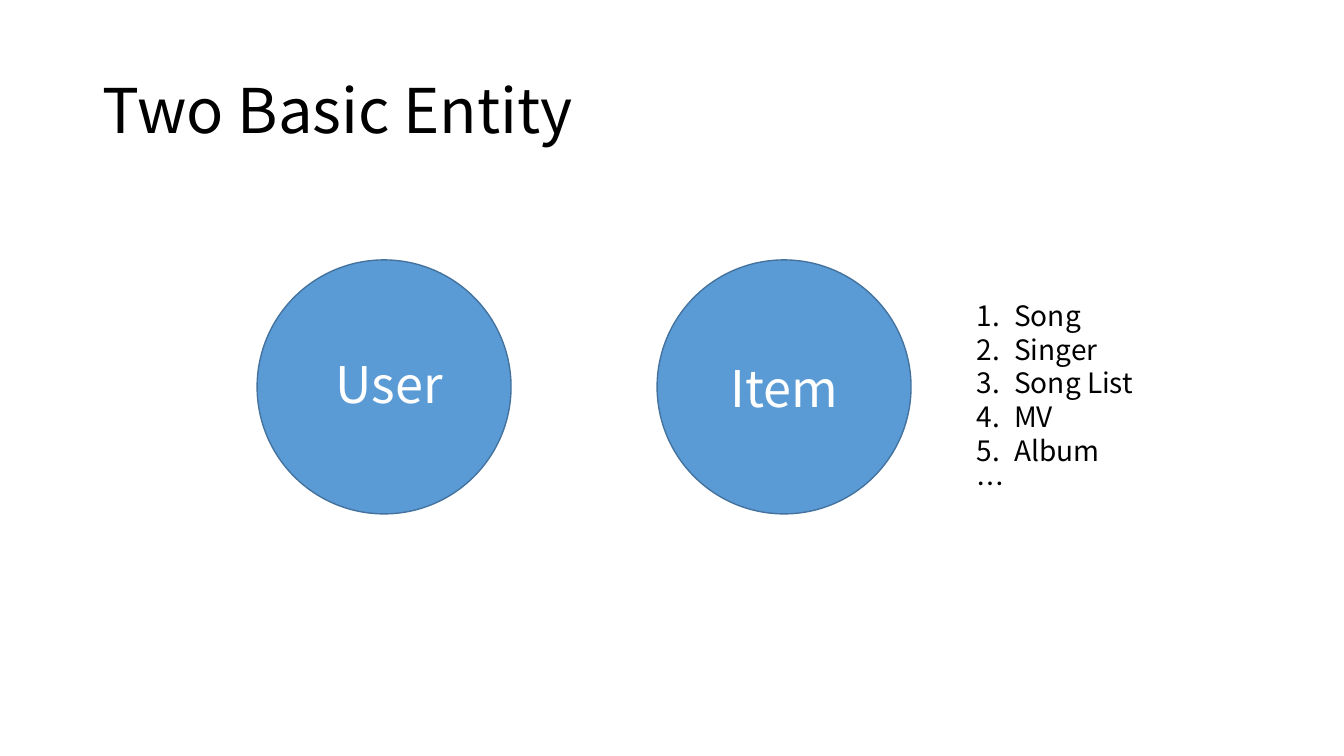
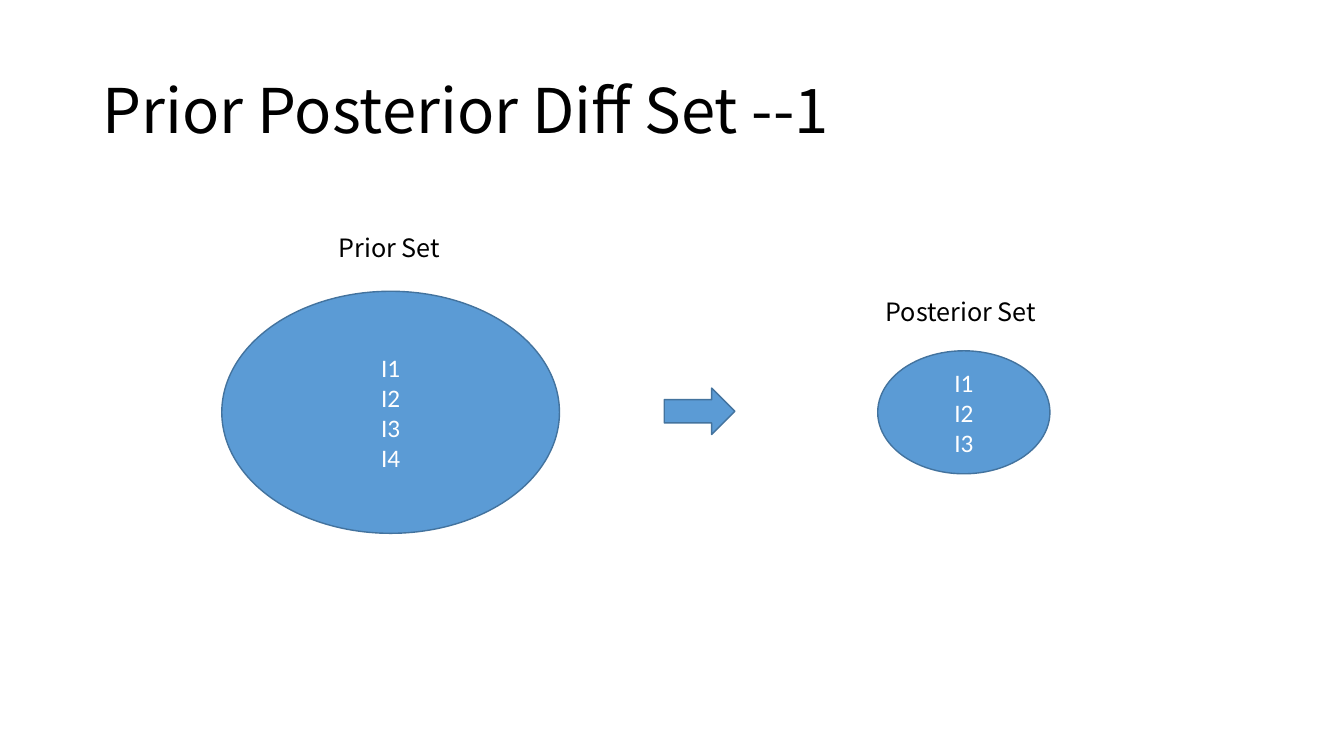
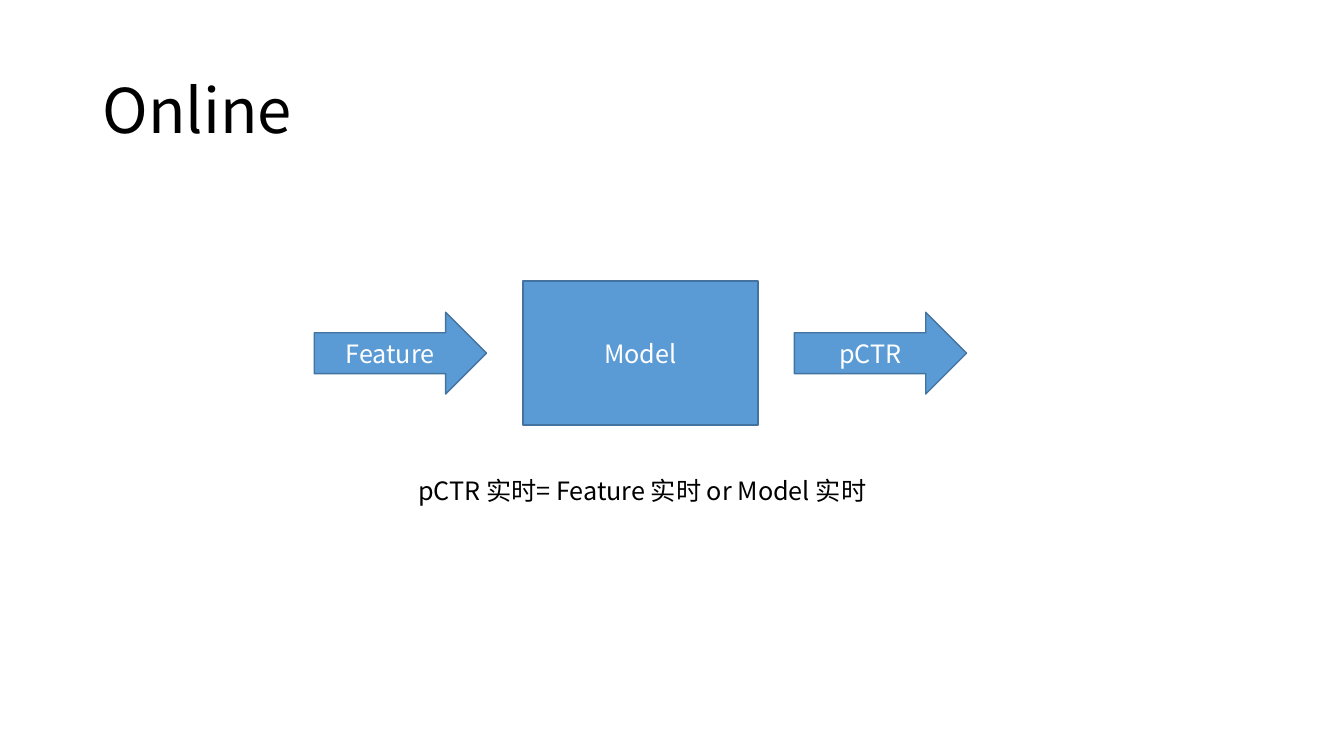
from dataclasses import dataclass
from typing import Optional

import pptx
from lxml import etree
from pptx import util as u
from pptx.dml import color
from pptx.enum import shapes, text
from pptx.oxml import ns

Kind = shapes.MSO_SHAPE
Align = text.PP_ALIGN


@dataclass(frozen=True)
class Theme:
    fill: color.RGBColor = color.RGBColor(0x5B, 0x9B, 0xD5)
    edge: color.RGBColor = color.RGBColor(0x43, 0x73, 0x9E)
    dark: color.RGBColor = color.RGBColor(0, 0, 0)
    light: color.RGBColor = color.RGBColor(255, 255, 255)
    sans: str = "Noto Sans CJK SC"
    latin: str = "Calibri"
    title: int = 44
    large: int = 36
    list: int = 20
    body: int = 18
    stroke: int = 1


THEME = Theme()


@dataclass(frozen=True)
class Box:
    x: float
    y: float
    w: float
    h: float

    def cm(self) -> tuple:
        return tuple(u.Cm(n) for n in (self.x, self.y, self.w, self.h))


@dataclass(frozen=True)
class Node:
    kind: Kind
    box: Box
    lines: tuple = ()
    size: int = THEME.body
    font: str = THEME.sans
    edge: bool = True


@dataclass(frozen=True)
class Note:
    box: Box
    lines: tuple
    size: int = THEME.body
    wrap: bool = True
    middle: bool = False
    space: Optional[float] = None
    count: int = 0


def write(frame, lines: tuple, size: int, font: str, ink, align) -> None:
    for i, line in enumerate(lines):
        para = frame.paragraphs[0] if i == 0 else frame.add_paragraph()
        para.alignment = align
        para.font.size = u.Pt(size)
        para.font.name = font
        para.font.color.rgb = ink
        run = para.add_run()
        run.text = line
        run.font.name = font
        east = etree.SubElement(run.font._element, ns.qn("a:ea"))
        east.set("typeface", THEME.sans)


def number(para) -> None:
    props = para._p.get_or_add_pPr()
    props.set("marL", str(u.Cm(0.95)))
    props.set("indent", str(-u.Cm(0.95)))
    mark = etree.Element(ns.qn("a:buAutoNum"), type="arabicPeriod")
    rest = props.find(ns.qn("a:defRPr"))
    rest.addprevious(mark)


def add_node(slide, node: Node) -> None:
    shape = slide.shapes.add_shape(node.kind, *node.box.cm())
    shape.shadow.inherit = False
    shape.fill.solid()
    shape.fill.fore_color.rgb = THEME.fill
    if node.edge:
        shape.line.color.rgb = THEME.edge
        shape.line.width = u.Pt(THEME.stroke)
    else:
        shape.line.fill.background()
    frame = shape.text_frame
    frame.vertical_anchor = text.MSO_ANCHOR.MIDDLE
    write(frame, node.lines, node.size, node.font, THEME.light, Align.CENTER)


def add_note(slide, note: Note) -> None:
    frame = slide.shapes.add_textbox(*note.box.cm()).text_frame
    frame.word_wrap = note.wrap
    if note.middle:
        frame.vertical_anchor = text.MSO_ANCHOR.MIDDLE
    write(frame, note.lines, note.size, THEME.sans, THEME.dark, Align.LEFT)
    for para in frame.paragraphs:
        para.line_spacing = note.space
    for para in frame.paragraphs[:note.count]:
        number(para)


def add_page(deck, title: str, nodes: list, notes: list) -> None:
    slide = deck.slides.add_slide(deck.slide_layouts[6])
    head = Note(Box(2.34, 1.02, 29.21, 3.68), (title,), THEME.title,
                middle=True, space=0.9)
    for node in nodes:
        add_node(slide, node)
    for note in [head, *notes]:
        add_note(slide, note)


def entity(deck) -> None:
    disks = [Node(Kind.OVAL, Box(x, 6.55, 6.4, 6.4)) for x in (6.48, 16.56)]
    names = [
        Node(Kind.RECTANGLE, Box(x, y, 3.61, 2.01), (name,), THEME.large,
             edge=False)
        for x, y, name in ((8, 8.66, "User"), (17.96, 8.76, "Item"))
    ]
    items = ("Song", "Singer", "Song List", "MV", "Album", "…")
    notes = [Note(Box(24.36, 7.4, 6.02, 5.6), items, THEME.list,
                  count=len(items) - 1)]
    add_page(deck, "Two Basic Entity", disks + names, notes)


def diff(deck) -> None:
    items = ("I1", "I2", "I3", "I4")
    nodes = [
        Node(Kind.OVAL, Box(5.59, 7.34, 8.51, 6.1), items, font=THEME.latin),
        Node(Kind.RIGHT_ARROW, Box(16.74, 9.78, 1.78, 1.17)),
        Node(Kind.OVAL, Box(22.12, 8.84, 4.34, 3.1), items[:3],
             font=THEME.latin),
    ]
    notes = [
        Note(Box(8.28, 5.72, 3.15, 1.02), ("Prior Set",), wrap=False),
        Note(Box(22.07, 7.34, 4.42, 1.02), ("Posterior Set",), wrap=False),
    ]
    add_page(deck, "Prior Posterior Diff Set --1", nodes, notes)


def online(deck) -> None:
    nodes = []
    x, mid, gap = 7.92, 8.9, 0.92
    for kind, w, h, name in (
        (Kind.RIGHT_ARROW, 4.34, 2.06, "Feature"),
        (Kind.RECTANGLE, 5.92, 3.63, "Model"),
        (Kind.RIGHT_ARROW, 4.34, 2.06, "pCTR"),
    ):
        nodes.append(Node(kind, Box(x, mid - h / 2, w, h), (name,)))
        x += w + gap
    notes = [Note(Box(10.29, 11.86, 12.5, 1.02),
                  ("pCTR 实时= Feature 实时 or Model 实时",))]
    add_page(deck, "Online", nodes, notes)


def main() -> None:
    deck = pptx.Presentation()
    deck.slide_width = u.Cm(33.87)
    deck.slide_height = u.Cm(19.05)
    for build in (entity, diff, online):
        build(deck)
    deck.save("out.pptx")


if __name__ == "__main__":
    main()
